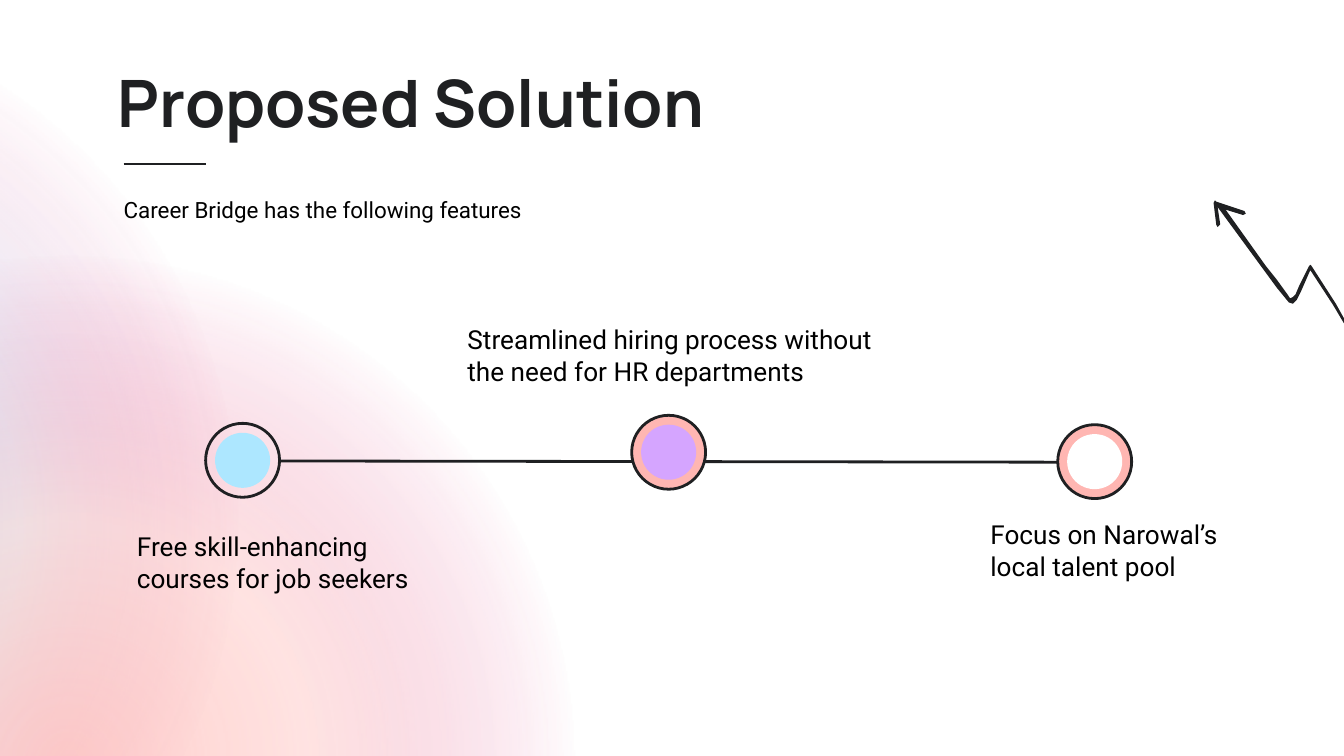
import pptx
import pptx.dml.color
import pptx.enum.shapes
import pptx.enum.text
import pptx.oxml
import pptx.oxml.ns
import pptx.util

Inches = pptx.util.Inches
Pt = pptx.util.Pt
RGBColor = pptx.dml.color.RGBColor
OVAL = pptx.enum.shapes.MSO_SHAPE.OVAL

INK = RGBColor(0x1F, 0x20, 0x22)
BLACK = RGBColor(0, 0, 0)
WHITE = RGBColor(0xFF, 0xFF, 0xFF)
BLUE = RGBColor(0xAD, 0xE7, 0xFF)
PINK = RGBColor(0xFF, 0xB6, 0xB2)
PURPLE = RGBColor(0xD5, 0xA5, 0xFF)
MAGENTA = RGBColor(0xD4, 0x0D, 0x64)

ARROW = [
    (0.01, 0.05), (0.02, 0.06), (0.23, 0.13), (0.24, 0.15), (0.22, 0.16),
    (0.09, 0.12), (0.39, 0.54), (0.47, 0.64), (0.55, 0.75), (0.57, 0.78),
    (0.59, 0.77), (0.61, 0.75), (0.64, 0.68), (0.71, 0.54), (0.72, 0.53),
    (0.73, 0.54), (0.91, 0.82), (1.06, 1.09), (1.06, 1.10), (1.05, 1.10),
    (0.89, 0.83), (0.72, 0.57), (0.65, 0.73), (0.62, 0.79), (0.59, 0.82),
    (0.56, 0.81), (0.47, 0.70), (0.25, 0.40), (0.03, 0.10), (0.05, 0.23),
    (0.03, 0.25), (0.02, 0.23), (0, 0.07),
]


def add_oval(s, x, y, size, fill=None, line=None):
    sp = s.shapes.add_shape(OVAL, Inches(x), Inches(y), Inches(size), Inches(size))
    sp.shadow.inherit = False
    if fill is None:
        sp.fill.background()
    else:
        sp.fill.solid()
        sp.fill.fore_color.rgb = fill
    if line is None:
        sp.line.fill.background()
    else:
        sp.line.color.rgb = line
        sp.line.width = Pt(1.5)
    return sp


def add_glow(s, x, y, size, stops):
    sp = add_oval(s, x, y, size)
    gs = "".join(
        f'<a:gs pos="{pos * 1000}"><a:srgbClr val="{color}">'
        f'<a:alpha val="{alpha * 1000}"/></a:srgbClr></a:gs>'
        for pos, color, alpha in stops
    )
    grad = pptx.oxml.parse_xml(
        f'<a:gradFill {pptx.oxml.ns.nsdecls("a")} rotWithShape="1">'
        f'<a:gsLst>{gs}</a:gsLst><a:path path="circle">'
        '<a:fillToRect l="50000" t="50000" r="50000" b="50000"/>'
        '</a:path></a:gradFill>'
    )
    props = sp.element.spPr
    props.replace(props.find(pptx.oxml.ns.qn("a:noFill")), grad)


def add_rule(s, x1, y1, x2, y2):
    line = s.shapes.add_connector(
        pptx.enum.shapes.MSO_CONNECTOR.STRAIGHT,
        Inches(x1), Inches(y1), Inches(x2), Inches(y2),
    )
    line.line.color.rgb = INK
    line.line.width = Pt(1.5)
    line.element.spPr.append(
        pptx.oxml.parse_xml(f'<a:effectLst {pptx.oxml.ns.nsdecls("a")}/>')
    )


def add_text(s, x, y, w, h, text, size, font="Roboto", color=BLACK, bold=False):
    tf = s.shapes.add_textbox(Inches(x), Inches(y), Inches(w), Inches(h)).text_frame
    tf.word_wrap = True
    tf.vertical_anchor = pptx.enum.text.MSO_ANCHOR.TOP
    p = tf.paragraphs[0]
    p.text = text
    p.font.name = font
    p.font.size = Pt(size)
    p.font.bold = bold
    p.font.color.rgb = color
    return tf


def add_background(s, x, y):
    size = 8.48
    add_glow(s, x, y, size,
             [(0, BLUE, 72), (38, BLUE, 27), (65, MAGENTA, 0), (100, MAGENTA, 0)])
    add_glow(s, x + 2.62, y + 1.78, size,
             [(0, PINK, 66), (30, PINK, 37), (63, MAGENTA, 0), (100, MAGENTA, 0)])


def add_heading(s, x, y, w):
    tf = add_text(s, x, y, w, 0.51, "Proposed Solution", 35, "Manrope", INK, True)
    tf.margin_top = tf.margin_bottom = Inches(0.1)
    tf.paragraphs[0].line_spacing = 0.9
    add_rule(s, x + 0.14, y + 0.79, x + 0.75, y + 0.79)
    tf = add_text(s, x, y + 0.98, w, 0.3,
                  "Career Bridge has the following features", 12)
    tf.margin_left = Inches(0.14)


def add_arrow(s, x, y):
    points = [(Inches(x + dx), Inches(y + dy)) for dx, dy in ARROW]
    builder = s.shapes.build_freeform(*points[0])
    builder.add_line_segments(points[1:], close=True)
    sp = builder.convert_to_shape()
    sp.shadow.inherit = False
    sp.fill.solid()
    sp.fill.fore_color.rgb = INK
    sp.line.fill.background()


def add_timeline(s, x, y):
    ring, dot, step = 0.55, 0.41, 3.17
    inset = (ring - dot) / 2
    add_rule(s, x + ring, y + 0.28, x + 2 * step + ring, y + 0.29)
    stages = [
        (0, None, BLUE, -0.61, 0.75, 2.49,
         "Free skill-enhancing courses for job seekers"),
        (-0.06, PINK, PURPLE, -1.32, -0.79, 3.23,
         "Streamlined hiring process without the need for HR departments"),
        (0.01, PINK, WHITE, -0.6, 0.66, 2.15,
         "Focus on Narowal’s local talent pool"),
    ]
    for i, (dy, ring_fill, dot_fill, text_dx, text_dy, w, text) in enumerate(stages):
        left, top = x + i * step, y + dy
        add_oval(s, left, top, ring, ring_fill, INK)
        add_oval(s, left + inset, top + inset, dot, dot_fill)
        add_text(s, left + text_dx, y + text_dy, w, 0.57, text, 14)


def main():
    prs = pptx.Presentation()
    prs.slide_width = Inches(10)
    prs.slide_height = Inches(10 * 9 / 16)
    s = prs.slides.add_slide(prs.slide_layouts[6])
    s.background.fill.solid()
    s.background.fill.fore_color.rgb = WHITE
    add_background(s, -6.35, -0.35)
    add_heading(s, 0.78, 0.43, 8.44)
    add_arrow(s, 9.03, 1.44)
    add_timeline(s, 1.53, 3.15)
    prs.save("out.pptx")


if __name__ == "__main__":
    main()
